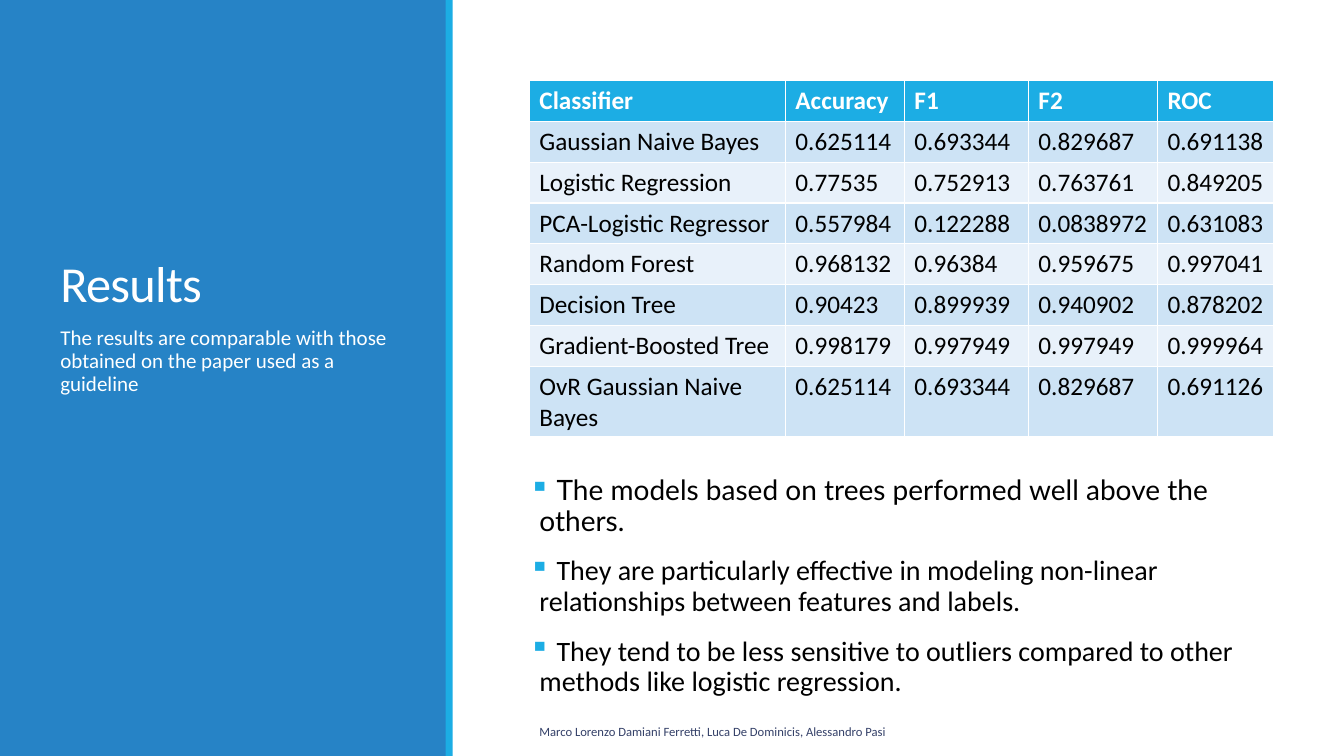
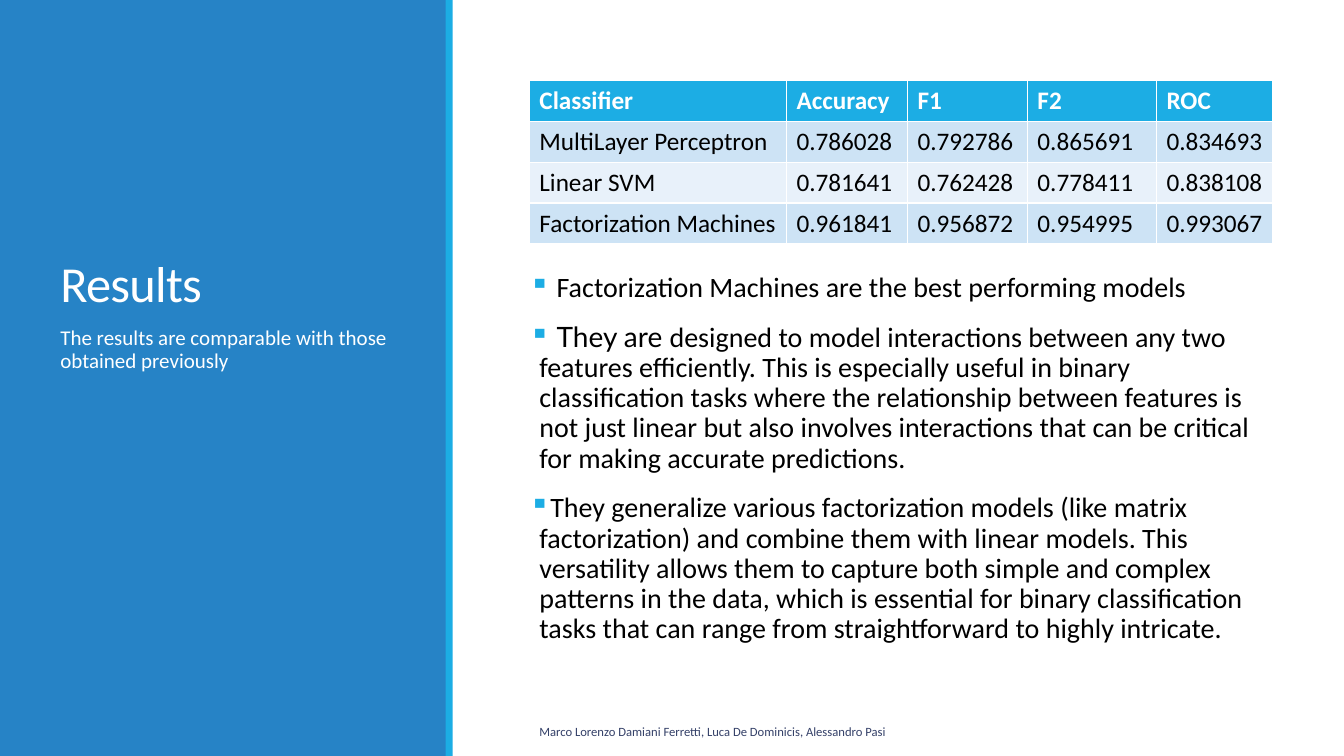
from pptx import Presentation
from pptx.dml.color import RGBColor
from pptx.enum.shapes import MSO_SHAPE
from pptx.enum.text import MSO_ANCHOR
from pptx.oxml import parse_xml
from pptx.oxml.ns import nsdecls
from pptx.util import Inches, Pt

BLUE, CYAN, NAVY = "2683C6", "1CADE4", "344068"
WHITE, BLACK = "FFFFFF", "000000"
TINTS = "CDE3F5", "E8F1FA"
FONT, ALT = "Calibri", "Lato"
LEFT, WIDE = 5.25, 7.38
HEAD = "Classifier", "Accuracy", "F1", "F2", "ROC"
TEAM = "Marco Lorenzo Damiani Ferretti, Luca De Dominicis, Alessandro Pasi"


def ink(code):
    return RGBColor.from_string(code)


def write(frame, *paras, size=18, color=BLACK, bold=False, line=None,
          before=0, after=0, track=0, mark=None):
    for i, para in enumerate(paras):
        item = frame.add_paragraph() if i else frame.paragraphs[0]
        item.line_spacing = line
        item.space_before, item.space_after = Pt(before), Pt(after)
        if mark:
            props = item._p.get_or_add_pPr()
            props.set("marL", str(Inches(0.1)))
            props.set("indent", str(Inches(-0.1)))
            props.append(parse_xml(
                f'<a:buClr {nsdecls("a")}><a:srgbClr val="{CYAN}"/></a:buClr>'))
            props.append(parse_xml(
                f'<a:buChar {nsdecls("a")} char="{mark}"/>'))
        parts = [(para, FONT)] if isinstance(para, str) else para
        for text, face in parts:
            run = item.add_run()
            run.text = text
            font = run.font
            font.name, font.size, font.bold = face, Pt(size), bold
            font.color.rgb = ink(color)
            if track:
                run._r.get_or_add_rPr().set("spc", str(int(track * 100)))


class Deck:
    """Hold the shared style and the current slide."""

    def __init__(self):
        self.show = Presentation()
        self.show.slide_width = Inches(13.33)
        self.show.slide_height = Inches(7.5)
        self.slide = None

    def page(self, title, note):
        self.slide = self.show.slides.add_slide(self.show.slide_layouts[6])
        self.band(0, 4.43, BLUE)
        self.band(4.42, 0.07, CYAN)
        self.text((0.5, 0.65, 3.5, 2.5), title, anchor=MSO_ANCHOR.BOTTOM,
                  size=36, color=WHITE, line=0.85, track=-0.5)
        self.text((0.5, 3.2, 3.5, 3.7), note, size=15, color=WHITE,
                  line=0.9, before=12, after=2)
        self.text((LEFT, 7.06, 5.08, 0.4), TEAM, anchor=MSO_ANCHOR.MIDDLE,
                  size=9, color=NAVY)

    def band(self, left, width, color):
        band = self.slide.shapes.add_shape(
            MSO_SHAPE.RECTANGLE, Inches(left), 0, Inches(width),
            self.show.slide_height)
        band.shadow.inherit = False
        band.fill.solid()
        band.fill.fore_color.rgb = ink(color)
        band.line.fill.background()

    def text(self, area, *paras, anchor=MSO_ANCHOR.TOP, inset=0.1, **style):
        frame = self.slide.shapes.add_textbox(*map(Inches, area)).text_frame
        frame.word_wrap = True
        frame.vertical_anchor = anchor
        frame.margin_left = frame.margin_right = Inches(inset)
        write(frame, *paras, **style)

    def list(self, top, *paras):
        self.text((LEFT, top, WIDE, 7.07 - top), *paras, inset=0, size=20,
                  line=0.9, before=12, after=2, mark="▪")

    def table(self, widths, rows):
        rows = [HEAD, *rows]
        high = 0.405
        grid = self.slide.shapes.add_table(
            len(rows), len(HEAD), Inches(LEFT), Inches(0.8), Inches(WIDE),
            Inches(high * len(rows))).table
        for col, width in zip(grid.columns, widths):
            col.width = Inches(width)
        for r, row in enumerate(rows):
            for c, value in enumerate(row):
                cell = grid.cell(r, c)
                cell.fill.solid()
                cell.fill.fore_color.rgb = ink(TINTS[(r - 1) % 2] if r else CYAN)
                write(cell.text_frame, value, bold=not r,
                      color=BLACK if r else WHITE)


def main():
    deck = Deck()

    deck.page("Results", "The results are comparable with those obtained "
              "on the paper used as a guideline")
    deck.table((2.54, 1.18, 1.23, 1.28, 1.15), [
        ("Gaussian Naive Bayes", "0.625114", "0.693344", "0.829687", "0.691138"),
        ("Logistic Regression", "0.77535", "0.752913", "0.763761", "0.849205"),
        ("PCA-Logistic Regressor", "0.557984", "0.122288", "0.0838972", "0.631083"),
        ("Random Forest", "0.968132", "0.96384", "0.959675", "0.997041"),
        ("Decision Tree", "0.90423", "0.899939", "0.940902", "0.878202"),
        ("Gradient-Boosted Tree", "0.998179", "0.997949", "0.997949", "0.999964"),
        ("OvR Gaussian Naive Bayes", "0.625114", "0.693344", "0.829687", "0.691126"),
    ])
    deck.list(
        4.68,
        [(" ", FONT),
         ("The models based on trees performed well above the others.", ALT)],
        " They are particularly effective in modeling non-linear "
        "relationships between features and labels.",
        " They tend to be less sensitive to outliers compared to other "
        "methods like logistic regression.")

    deck.page("Results", "The results are comparable with those obtained "
              "previously")
    deck.table((2.55, 1.2, 1.19, 1.28, 1.15), [
        ("MultiLayer Perceptron", "0.786028", "0.792786", "0.865691", "0.834693"),
        ("Linear SVM", "0.781641", "0.762428", "0.778411", "0.838108"),
        ("Factorization Machines", "0.961841", "0.956872", "0.954995", "0.993067"),
    ])
    deck.list(
        2.66,
        " Factorization Machines are the best performing models",
        [(" They are ", ALT),
         ("designed to model interactions between any two features "
          "efficiently. This is especially useful in binary classification "
          "tasks where the relationship between features is not just linear "
          "but also involves interactions that can be critical for making "
          "accurate predictions.", FONT)],
        "They generalize various factorization models (like matrix "
        "factorization) and combine them with linear models. This "
        "versatility allows them to capture both simple and complex "
        "patterns in the data, which is essential for binary classification "
        "tasks that can range from straightforward to highly intricate.")

    deck.show.save("out.pptx")


if __name__ == "__main__":
    main()
